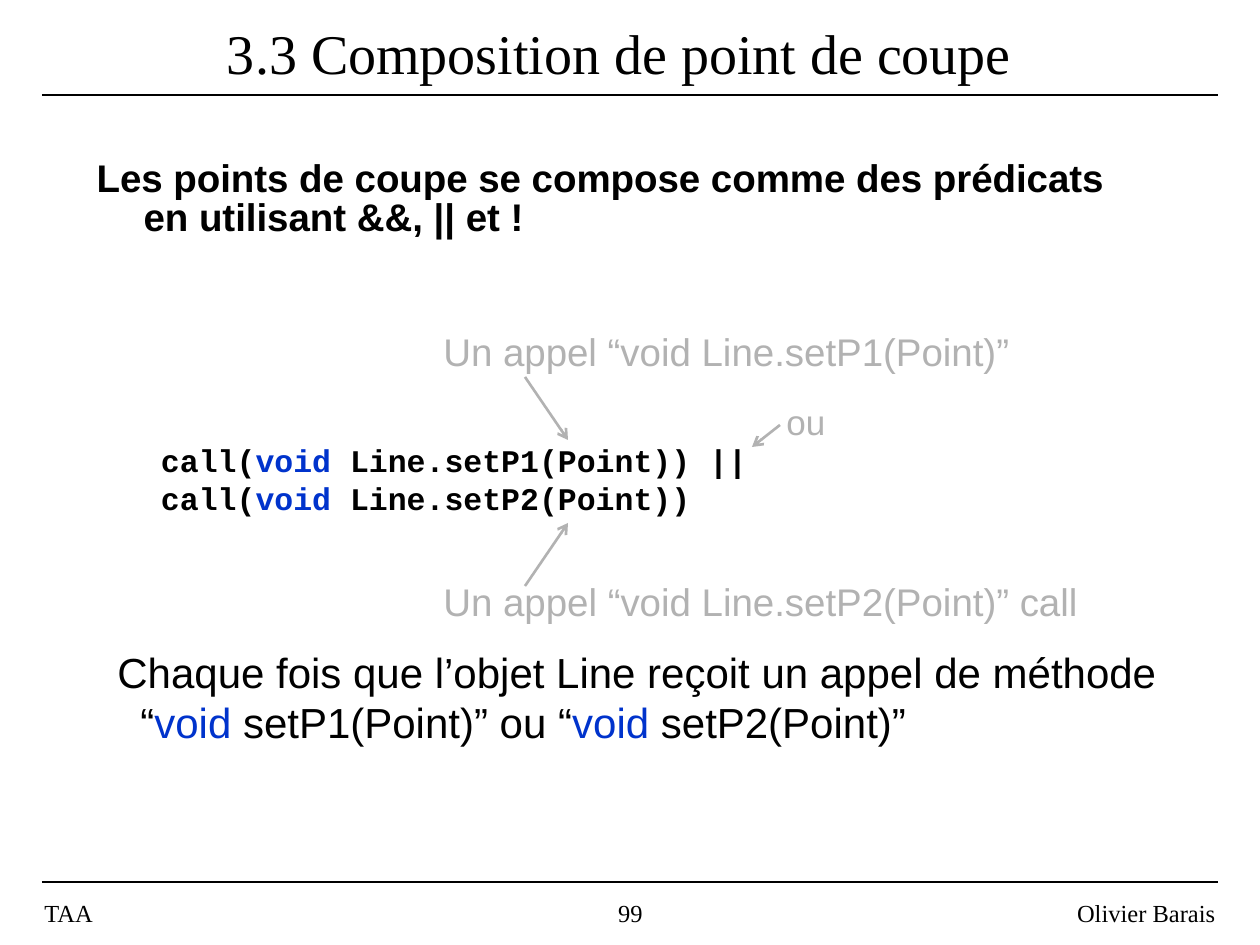
from lxml import etree
from pptx import Presentation
from pptx.dml.color import RGBColor
from pptx.enum.shapes import MSO_CONNECTOR
from pptx.enum.text import MSO_ANCHOR, MSO_AUTO_SIZE, PP_ALIGN
from pptx.oxml.ns import qn
from pptx.util import Emu, Pt

STRAIGHT = MSO_CONNECTOR.STRAIGHT
TOP, MIDDLE = MSO_ANCHOR.TOP, MSO_ANCHOR.MIDDLE
LEFT, CENTER, RIGHT = PP_ALIGN.LEFT, PP_ALIGN.CENTER, PP_ALIGN.RIGHT
NO_FIT = MSO_AUTO_SIZE.NONE

SERIF, SANS, MONO = "Times New Roman", "Arial", "Courier New"
BLACK, BLUE, GREY = "000000", "0033CC", "B2B2B2"


def px(length):
    """Turn pixels into EMU."""
    return Emu(round(length * 914400 / 126))


def color(value):
    """Turn a hex string into a colour."""
    return RGBColor.from_string(value)


def place(shape, left, top, width, height):
    """Move and size a shape."""
    shape.left, shape.top = px(left), px(top)
    shape.width, shape.height = px(width), px(height)


def set_frame(shape, anchor=TOP, wrap=True):
    """Prepare a text frame and return it."""
    frame = shape.text_frame
    frame.auto_size = NO_FIT
    frame.word_wrap = wrap
    frame.vertical_anchor = anchor
    return frame


def set_hanging(para, indent):
    """Give a paragraph a hanging indent and no bullet."""
    properties = para._p.get_or_add_pPr()
    properties.set("marL", str(px(indent)))
    properties.set("indent", str(-px(indent)))
    etree.SubElement(properties, qn("a:buNone"))


def add_span(para, text, size, font=SANS, ink=BLACK, bold=False):
    """Add one formatted run."""
    span = para.add_run()
    span.text = text
    span.font.size = Pt(size)
    span.font.name = font
    span.font.bold = bold
    span.font.color.rgb = color(ink)


def add_label(shapes, area, text, size, font=SANS, ink=BLACK, align=LEFT, anchor=TOP):
    """Add a single-line text box."""
    box = shapes.add_textbox(0, 0, 0, 0)
    place(box, *area)
    para = set_frame(box, anchor, wrap=False).paragraphs[0]
    para.alignment = align
    add_span(para, text, size, font, ink)


def add_line(shapes, start, end, ink=BLACK, weight=1, arrow=False):
    """Add a straight line, with an arrowhead at its end if asked."""
    line = shapes.add_connector(STRAIGHT, *map(px, start + end))
    line.line.color.rgb = color(ink)
    line.line.width = Pt(weight)
    if arrow:
        etree.SubElement(line.line._get_or_add_ln(), qn("a:tailEnd"), type="arrow")
    etree.SubElement(line._element.spPr, qn("a:effectLst"))


def add_callout(slide, area, text, size, start, end):
    """Add a grouped grey label and its arrow."""
    shapes = slide.shapes.add_group_shape().shapes
    add_label(shapes, area, text, size, ink=GREY)
    add_line(shapes, start, end, GREY, 1.5, arrow=True)


def add_heading(slide, text):
    """Fill the title placeholder."""
    title = slide.shapes.title
    place(title, 84, 21, 1071, 63)
    para = set_frame(title, MIDDLE).paragraphs[0]
    para.alignment = CENTER
    add_span(para, text, 32, SERIF)


def add_statement(slide, text):
    """Fill the body placeholder with the main statement."""
    body = slide.placeholders[1]
    place(body, 84, 155, 1071, 262)
    para = set_frame(body).paragraphs[0]
    set_hanging(para, 47)
    para.line_spacing = 0.85
    para.space_before = Pt(0)
    add_span(para, text, 22, bold=True)


def add_code(slide, endings):
    """Add the code, one call a line."""
    box = slide.shapes.add_textbox(px(73), px(435), px(703), px(88))
    frame = set_frame(box, wrap=False)
    for index, ending in enumerate(endings):
        para = frame.add_paragraph() if index else frame.paragraphs[0]
        for text, ink in (("    call(", BLACK), ("void ", BLUE), (ending, BLACK)):
            add_span(para, text, 18, MONO, ink, bold=True)


def add_explanation(slide):
    """Add the closing sentence with its coloured keywords."""
    box = slide.shapes.add_textbox(px(105), px(640), px(1081), px(113))
    para = set_frame(box).paragraphs[0]
    set_hanging(para, 23)
    add_span(para, "Chaque fois que l’objet Line reçoit un appel de méthode", 24)
    para.add_line_break()
    for text, ink in (
        ("“", BLACK),
        ("void", BLUE),
        (" setP1(Point)” ou “", BLACK),
        ("void", BLUE),
        (" setP2(Point)”", BLACK),
    ):
        add_span(para, text, 24, ink=ink)


def add_frame_lines_and_footer(slide):
    """Add the two rules and the footer texts."""
    for y in (95, 882):
        add_line(slide.shapes, (42, y), (1218, y))
    for left, width, text, align in (
        (32, 262, "TAA", LEFT),
        (431, 399, "99", CENTER),
        (966, 262, "Olivier Barais", RIGHT),
    ):
        area = (left, 892, width, 42)
        add_label(slide.shapes, area, text, 14, SERIF, align=align, anchor=MIDDLE)


def main():
    """Build and save the slide."""
    deck = Presentation()
    deck.slide_width, deck.slide_height = px(1260), px(945)
    slide = deck.slides.add_slide(deck.slide_layouts[1])
    add_frame_lines_and_footer(slide)
    add_heading(slide, "3.3 Composition de point de coupe")
    add_explanation(slide)
    add_callout(slide, (774, 394, 64, 54), "ou", 20, (780, 425), (752, 447))
    add_callout(slide, (431, 572, 662, 59), "Un appel “void Line.setP2(Point)” call", 22,
                (525, 586), (568, 523))
    add_callout(slide, (431, 322, 593, 59), "Un appel “void Line.setP1(Point)”", 22,
                (525, 377), (568, 440))
    add_code(slide, ("Line.setP1(Point)) ||", "Line.setP2(Point))"))
    add_statement(slide, "Les points de coupe se compose comme des prédicats "
                         "en utilisant &&, || et !")
    deck.save("out.pptx")


if __name__ == "__main__":
    main()
